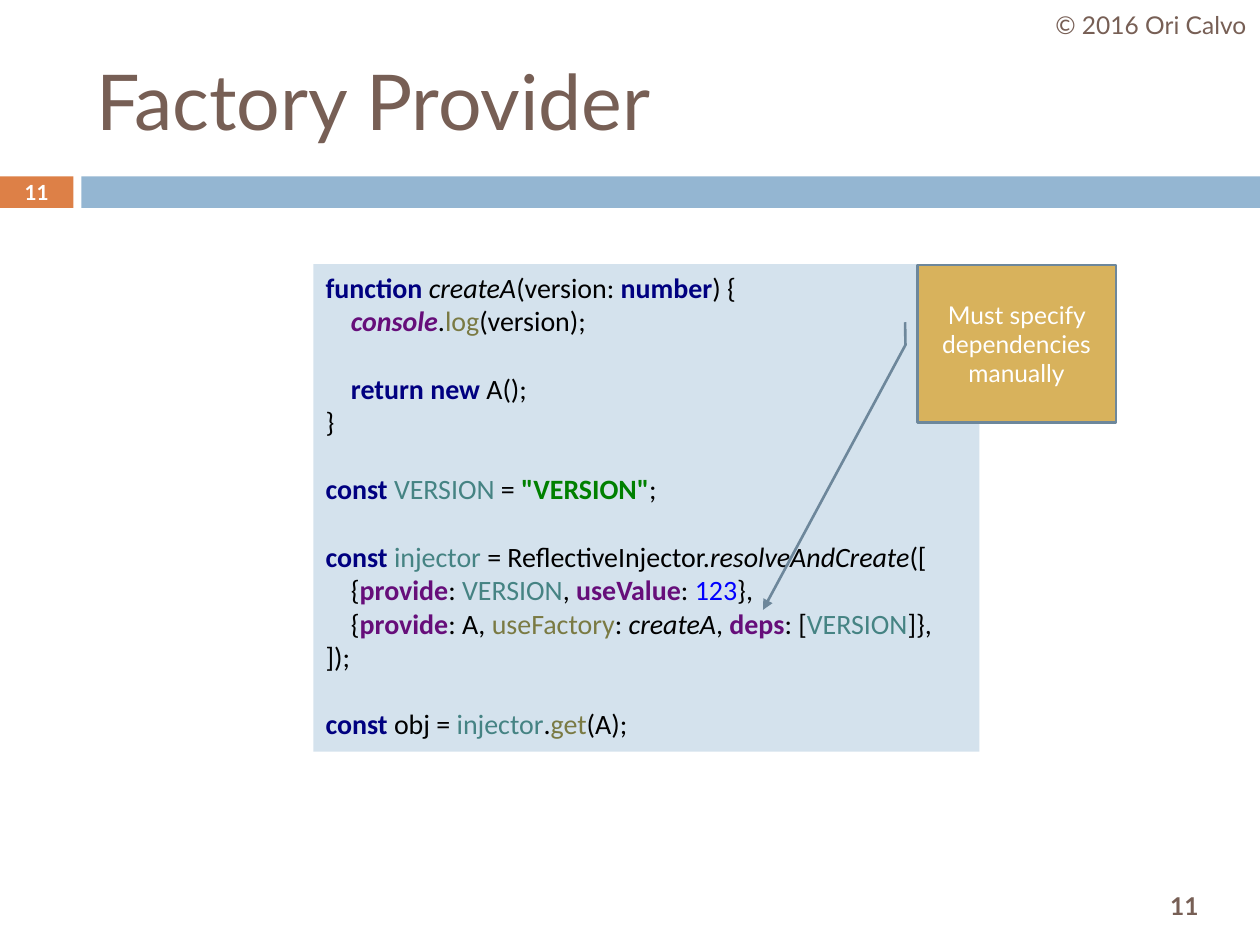
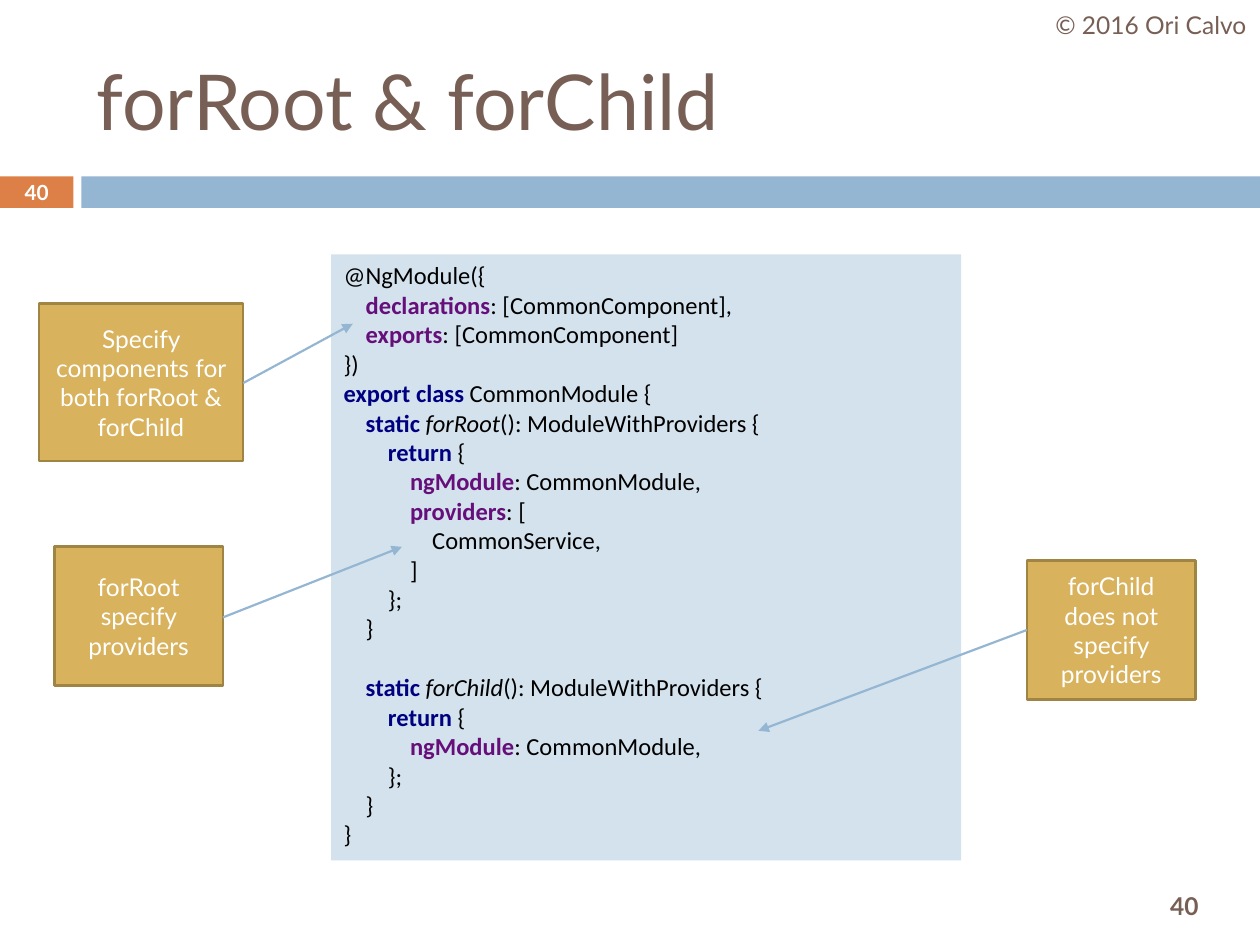
"""Build two code slides with callouts, using a shared title, band and footer."""
from dataclasses import dataclass
from itertools import groupby

from lxml import etree
from pptx import Presentation
from pptx.dml.color import RGBColor
from pptx.enum.shapes import MSO_CONNECTOR, MSO_SHAPE
from pptx.enum.text import MSO_ANCHOR, PP_ALIGN
from pptx.oxml.ns import qn
from pptx.util import Pt

COLORS = {
    "title": "775F55", "orange": "DD8047", "blue": "94B6D2", "panel": "D4E2ED",
    "gold": "D8B25C", "gold_edge": "A08444", "slate": "6D879B", "white": "FFFFFF",
    "plain": "000000", "keyword": "000080", "property": "660E7A", "method": "7A7A43",
    "constant": "458383", "string": "008000", "number": "0000FF",
}
TEXT_FONT, CODE_FONT = "Lato", "Calibri"
SPACE_WIDTH, LINE_HEIGHT = 0.226, 1.2


@dataclass(frozen=True)
class Box:
    """A rectangle in points."""
    left: float
    top: float
    width: float
    height: float

    def lengths(self) -> tuple:
        """Return the four lengths for python-pptx."""
        return Pt(self.left), Pt(self.top), Pt(self.width), Pt(self.height)


@dataclass(frozen=True)
class Style:
    """The look of one kind of code word."""
    color: str = "plain"
    bold: bool = False
    italic: bool = False


@dataclass(frozen=True)
class Note:
    """A gold note with an arrow from one point to another."""
    text: str
    box: Box
    start: tuple[float, float]
    end: tuple[float, float]


PLAIN = Style()
WORDS_BY_STYLE = {
    Style("keyword", bold=True): "function number return new const export class static",
    Style("property", bold=True): "provide useValue deps declarations exports ngModule providers",
    Style("property", bold=True, italic=True): "console",
    Style(italic=True): "createA resolveAndCreate forRoot forChild",
    Style("method"): "log useFactory get",
    Style("constant"): "VERSION injector",
    Style("string", bold=True): '"VERSION"',
    Style("number"): "123",
}
STYLES = {word: style for style, words in WORDS_BY_STYLE.items() for word in words.split()}

FACTORY_CODE = """\
function createA(version: number) {
    console.log(version);

    return new A();
}

const VERSION = "VERSION";

const injector = ReflectiveInjector.resolveAndCreate([
    {provide: VERSION, useValue: 123},
    {provide: A, useFactory: createA, deps: [VERSION]},
]);

const obj = injector.get(A);"""

MODULE_CODE = """\
@NgModule({
    declarations: [CommonComponent],
    exports: [CommonComponent]
})
export class CommonModule {
    static forRoot(): ModuleWithProviders {
        return {
            ngModule: CommonModule,
            providers: [
                CommonService,
            ]
        };
    }

    static forChild(): ModuleWithProviders {
        return {
            ngModule: CommonModule,
        };
    }
}"""

NOTES = (
    Note("Specify components for both forRoot & forChild",
         Box(22.3, 173.5, 116.6, 90), (139, 218.9), (201.6, 185)),
    Note("forRoot specify providers",
         Box(31, 312.5, 96.5, 79.2), (127.4, 352.8), (229.7, 312.5)),
    Note("forChild does not specify providers",
         Box(586.8, 320.4, 96.5, 79.2), (586.8, 360), (433.4, 417.6)),
)
CALLOUT_POINTS = (0.364, -0.062, 0.508, -0.06, 2.19, -0.778)


def rgb(name: str) -> RGBColor:
    """Look up a named colour."""
    return RGBColor.from_string(COLORS[name])


def add_filled(slide, box: Box, fill: str, edge: str | None = None, kind=MSO_SHAPE.RECTANGLE):
    """Add a flat shape with an optional outline."""
    shape = slide.shapes.add_shape(kind, *box.lengths())
    shape.shadow.inherit = False
    shape.fill.solid()
    shape.fill.fore_color.rgb = rgb(fill)
    if edge:
        shape.line.color.rgb = rgb(edge)
        shape.line.width = Pt(1.5)
    else:
        shape.line.fill.background()
    return shape


def write(shape, text: str, size: float, color: str, bold: bool = False,
          alignment=PP_ALIGN.CENTER, wrap: bool = True) -> None:
    """Write one vertically centred paragraph."""
    frame = shape.text_frame
    frame.word_wrap = wrap
    frame.vertical_anchor = MSO_ANCHOR.MIDDLE
    paragraph = frame.paragraphs[0]
    paragraph.text = text
    paragraph.alignment = alignment
    font = paragraph.font
    font.name, font.size, font.bold = TEXT_FONT, Pt(size), bold
    font.color.rgb = rgb(color)


def add_label(slide, box: Box, text: str, size: float, color: str, **options) -> None:
    """Add a text box holding one paragraph."""
    write(slide.shapes.add_textbox(*box.lengths()), text, size, color, **options)


def add_arrowhead(shape) -> None:
    """Put a triangle on the end of the shape's line."""
    outline = shape.element.spPr.find(qn("a:ln"))
    etree.SubElement(outline, qn("a:tailEnd"), type="triangle")


def add_arrow(slide, start: tuple[float, float], end: tuple[float, float]) -> None:
    """Add a straight arrow without a shadow."""
    connector = slide.shapes.add_connector(
        MSO_CONNECTOR.STRAIGHT, *(Pt(length) for length in (*start, *end)))
    connector.line.color.rgb = rgb("blue")
    connector.line.width = Pt(1.25)
    add_arrowhead(connector)
    etree.SubElement(connector.element.spPr, qn("a:effectLst"))


def split_code(line: str) -> list[tuple[Style, str]]:
    """Split a line into stretches of equal style."""
    tokens = ["".join(group) for _, group in
              groupby(line, key=lambda letter: letter.isalnum() or letter == '"')]
    return [(style, "".join(group)) for style, group in
            groupby(tokens, key=lambda token: STYLES.get(token, PLAIN))]


def add_code(slide, box: Box, code: str, size: float) -> None:
    """Add a panel of highlighted code, turning blank lines and indents into spacing."""
    frame = add_filled(slide, box, "panel").text_frame
    frame.word_wrap = True
    frame.vertical_anchor = MSO_ANCHOR.TOP
    paragraph, gap = frame.paragraphs[0], 0
    for number, line in enumerate(code.splitlines()):
        if not line:
            gap += size * LINE_HEIGHT
            continue
        if number:
            paragraph = frame.add_paragraph()
        content = line.lstrip()
        indent = Pt((len(line) - len(content)) * SPACE_WIDTH * size)
        paragraph._p.get_or_add_pPr().set("marL", str(indent))
        paragraph.alignment = PP_ALIGN.LEFT
        paragraph.space_before, gap = Pt(gap), 0
        paragraph.font.name, paragraph.font.size = CODE_FONT, Pt(size)
        for style, text in split_code(content):
            run = paragraph.add_run()
            run.text = text
            run.font.bold, run.font.italic = style.bold, style.italic
            run.font.color.rgb = rgb(style.color)


def add_base_slide(presentation, title: str, number: int):
    """Add a slide with the band, title, copyright and page numbers."""
    slide = presentation.slides.add_slide(presentation.slide_layouts[6])
    add_filled(slide, Box(0, 100.8, 42, 18), "orange")
    add_filled(slide, Box(46.5, 100.8, 673.5, 18), "blue")
    add_label(slide, Box(643.7, 502.6, 66.2, 30.2), str(number), 14, "title", bold=True)
    add_label(slide, Box(48, 18, 642, 78), title, 44, "title", alignment=PP_ALIGN.LEFT)
    add_label(slide, Box(595.4, 0, 124.6, 28.8), "© 2016 Ori Calvo", 14, "title", wrap=False)
    add_label(slide, Box(0, 100, 42, 19.4), str(number), 11.9, "white", bold=True)
    return slide


def build_factory_slide(presentation) -> None:
    """Build the slide about factory providers."""
    slide = add_base_slide(presentation, "Factory Provider", 11)
    add_code(slide, Box(179, 151, 380.6, 278.6), FACTORY_CODE, 16)
    callout = add_filled(slide, Box(524.2, 151.4, 113.4, 90), "gold", "slate",
                         MSO_SHAPE.LINE_CALLOUT_2)
    for index, value in enumerate(CALLOUT_POINTS):
        callout.adjustments[index] = value
    add_arrowhead(callout)
    write(callout, "Must specify dependencies manually", 14, "white")


def build_module_slide(presentation) -> None:
    """Build the slide about forRoot and forChild."""
    slide = add_base_slide(presentation, "forRoot & forChild", 40)
    add_code(slide, Box(189.3, 145.3, 360, 346.3), MODULE_CODE, 14)
    for note in NOTES:
        write(add_filled(slide, note.box, "gold", "gold_edge"), note.text, 14, "white")
        add_arrow(slide, note.start, note.end)


def main() -> None:
    """Build and save the presentation."""
    presentation = Presentation()
    presentation.slide_width, presentation.slide_height = Pt(720), Pt(540)
    build_factory_slide(presentation)
    build_module_slide(presentation)
    presentation.save("out.pptx")


main()
